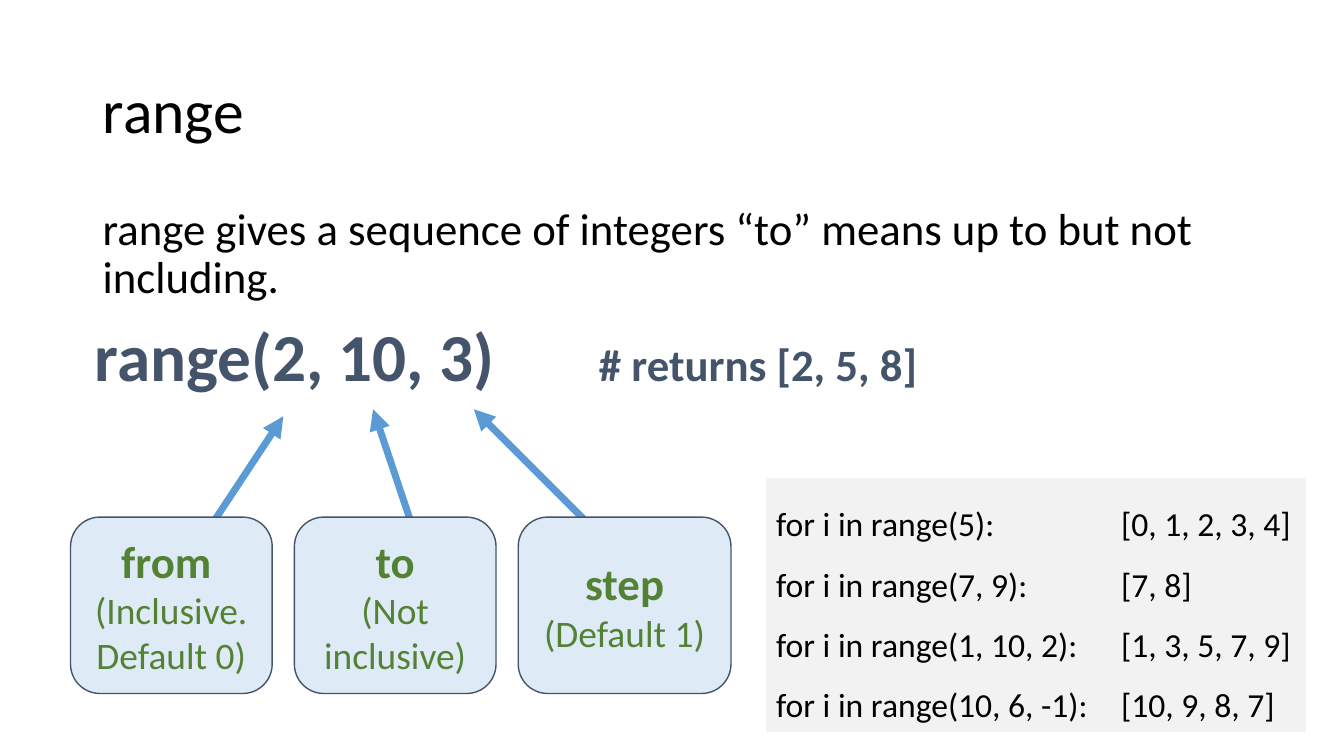
from dataclasses import dataclass

from lxml.etree import SubElement
from pptx import Presentation
from pptx.dml.color import RGBColor
from pptx.enum.shapes import MSO_CONNECTOR as Conn, MSO_SHAPE as Shape
from pptx.enum.text import MSO_ANCHOR as Anchor, MSO_AUTO_SIZE as Auto, PP_ALIGN as Align
from pptx.oxml.ns import qn
from pptx.util import Emu, Pt

PX = 9144


@dataclass(frozen=True)
class Theme:
    font: str = "Calibri"
    ink: str = "000000"
    slate: str = "44546A"
    green: str = "548235"
    arrow: str = "5B9BD5"
    pale_blue: str = "DEEBF7"
    pale_grey: str = "F2F2F2"
    title: float = 44
    call: float = 48
    body: float = 32
    detail: float = 26.7
    code: float = 24


T = Theme()


@dataclass(frozen=True)
class Argument:
    name: str
    details: tuple[str, ...]
    left: int
    width: int
    tail: tuple[int, int]
    tip: tuple[int, int]


@dataclass(frozen=True)
class Example:
    call: str
    result: str


ARGUMENTS = (
    Argument("from ", ("(Inclusive.", "Default 0)"), 70, 200, (176, 572), (281, 413)),
    Argument("to", ("(Not inclusive)",), 292, 200, (426, 573), (370, 406)),
    Argument("step", ("(Default 1)",), 514, 211, (637, 573), (470, 406)),
)

EXAMPLES = (
    Example("for i in range(5):", "[0, 1, 2, 3, 4]"),
    Example("for i in range(7, 9):", "[7, 8]"),
    Example("for i in range(1, 10, 2):", "[1, 3, 5, 7, 9]"),
    Example("for i in range(10, 6, -1):", "[10, 9, 8, 7]"),
)


def px(*values: int) -> list[Emu]:
    return [Emu(v * PX) for v in values]


def rgb(color: str) -> RGBColor:
    return RGBColor.from_string(color)


def write(p, text: str, *, size: float, color: str = T.ink, bold: bool = False,
          align: Align = Align.LEFT, spacing: float | None = None) -> None:
    p.alignment = align
    if spacing:
        p.line_spacing = spacing
    r = p.add_run()
    r.text = text
    r.font.name = T.font
    r.font.size = Pt(size)
    r.font.bold = bold
    r.font.color.rgb = rgb(color)


def next_paragraph(tf, index: int):
    return tf.paragraphs[0] if index == 0 else tf.add_paragraph()


def add_tabs(p, *stops: int) -> None:
    tabs = SubElement(p._p.get_or_add_pPr(), qn("a:tabLst"))
    for stop in stops:
        SubElement(tabs, qn("a:tab"), pos=str(stop * PX), algn="l")


def add_text_box(s, *box: int):
    sp = s.shapes.add_textbox(*px(*box))
    sp.text_frame.word_wrap = True
    return sp


def add_title(s, text: str) -> None:
    sp = s.shapes.title
    sp.left, sp.top, sp.width, sp.height = px(92, 40, 1150, 145)
    tf = sp.text_frame
    tf.vertical_anchor = Anchor.MIDDLE
    write(tf.paragraphs[0], text, size=T.title, spacing=0.9)


def add_arrow(s, tail: tuple[int, int], tip: tuple[int, int]) -> None:
    cx = s.shapes.add_connector(Conn.STRAIGHT, *px(*tail, *tip))
    cx.line.color.rgb = rgb(T.arrow)
    cx.line.width = Pt(5)
    SubElement(cx.line._get_or_add_ln(), qn("a:tailEnd"), type="triangle")
    SubElement(cx._element.spPr, qn("a:effectLst"))


def add_argument(s, arg: Argument) -> None:
    add_arrow(s, arg.tail, arg.tip)
    sp = s.shapes.add_shape(Shape.ROUNDED_RECTANGLE, *px(arg.left, 513, arg.width, 175))
    sp.shadow.inherit = False
    sp.fill.solid()
    sp.fill.fore_color.rgb = rgb(T.pale_blue)
    sp.line.color.rgb = rgb(T.slate)
    sp.line.width = Pt(1)
    tf = sp.text_frame
    tf.word_wrap = True
    tf.vertical_anchor = Anchor.MIDDLE
    for i, text in enumerate((arg.name, *arg.details)):
        write(next_paragraph(tf, i), text, size=T.detail if i else T.body,
              color=T.green, bold=i == 0, align=Align.CENTER)


def add_examples(s) -> None:
    sp = add_text_box(s, 760, 474, 535, 252)
    sp.fill.solid()
    sp.fill.fore_color.rgb = rgb(T.pale_grey)
    tf = sp.text_frame
    tf.word_wrap = False
    tf.auto_size = Auto.SHAPE_TO_FIT_TEXT
    for i, example in enumerate(EXAMPLES):
        p = next_paragraph(tf, i)
        write(p, f"{example.call}\t{example.result}", size=T.code, spacing=1.5)
        add_tabs(p, 342)


def add_call(s) -> None:
    tf = add_text_box(s, 81, 305, 944, 111).text_frame
    tf.margin_left, tf.margin_top, tf.margin_right, tf.margin_bottom = px(13, 7, 13, 7)
    p = tf.paragraphs[0]
    write(p, "range(2, 10, 3)", size=T.call, color=T.slate, bold=True)
    write(p, "\t\t# returns [2, 5, 8]", size=T.body, color=T.slate, bold=True)
    add_tabs(p, 400, 500)


def main() -> None:
    prs = Presentation()
    prs.slide_width, prs.slide_height = px(1333, 750)
    s = prs.slides.add_slide(prs.slide_layouts[5])
    add_title(s, "range")
    tf = add_text_box(s, 92, 200, 1150, 476).text_frame
    write(tf.paragraphs[0],
          "range gives a sequence of integers “to” means up to but not including.",
          size=T.body, spacing=0.9)
    add_examples(s)
    for arg in ARGUMENTS:
        add_argument(s, arg)
    add_call(s)
    prs.save("out.pptx")


if __name__ == "__main__":
    main()
